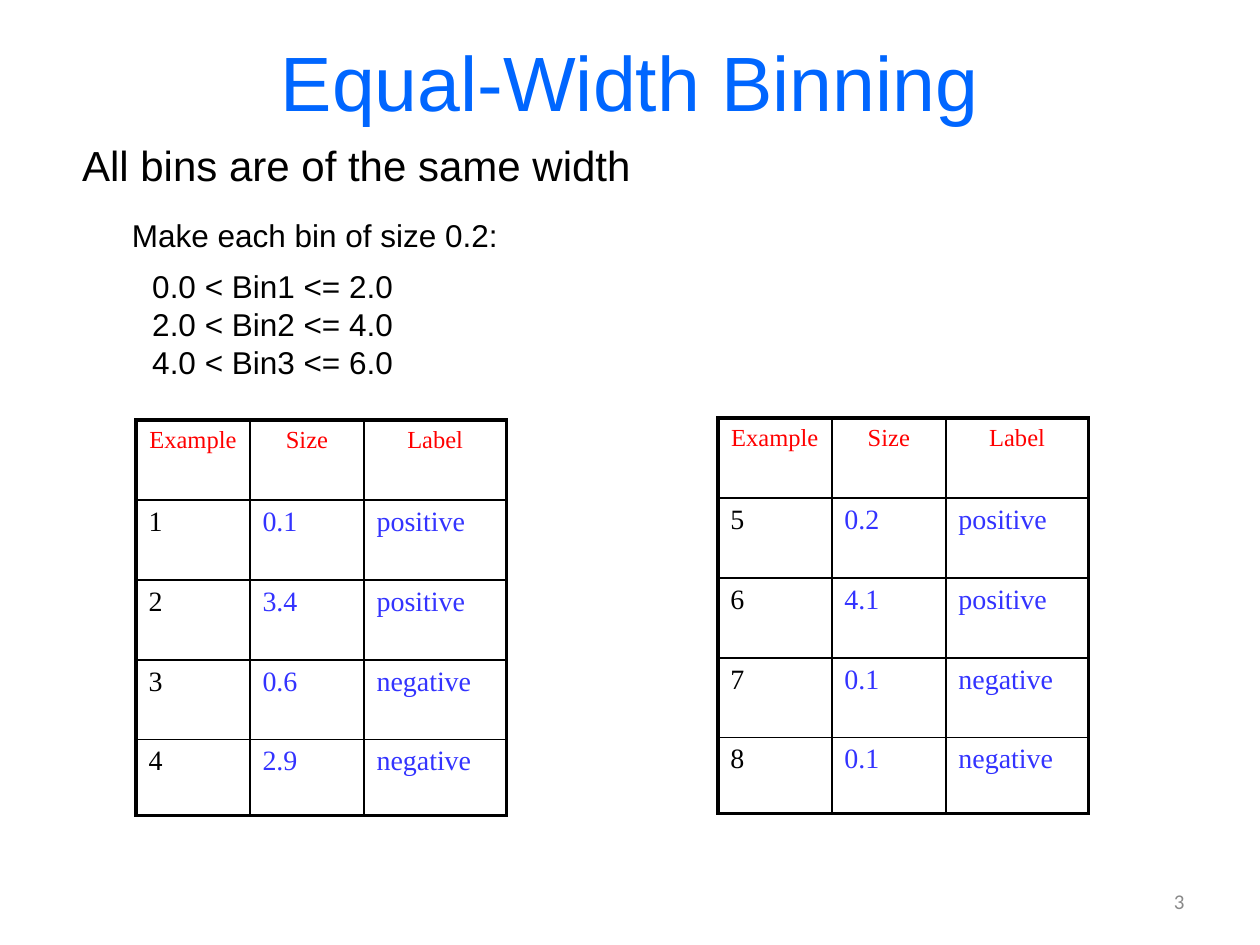
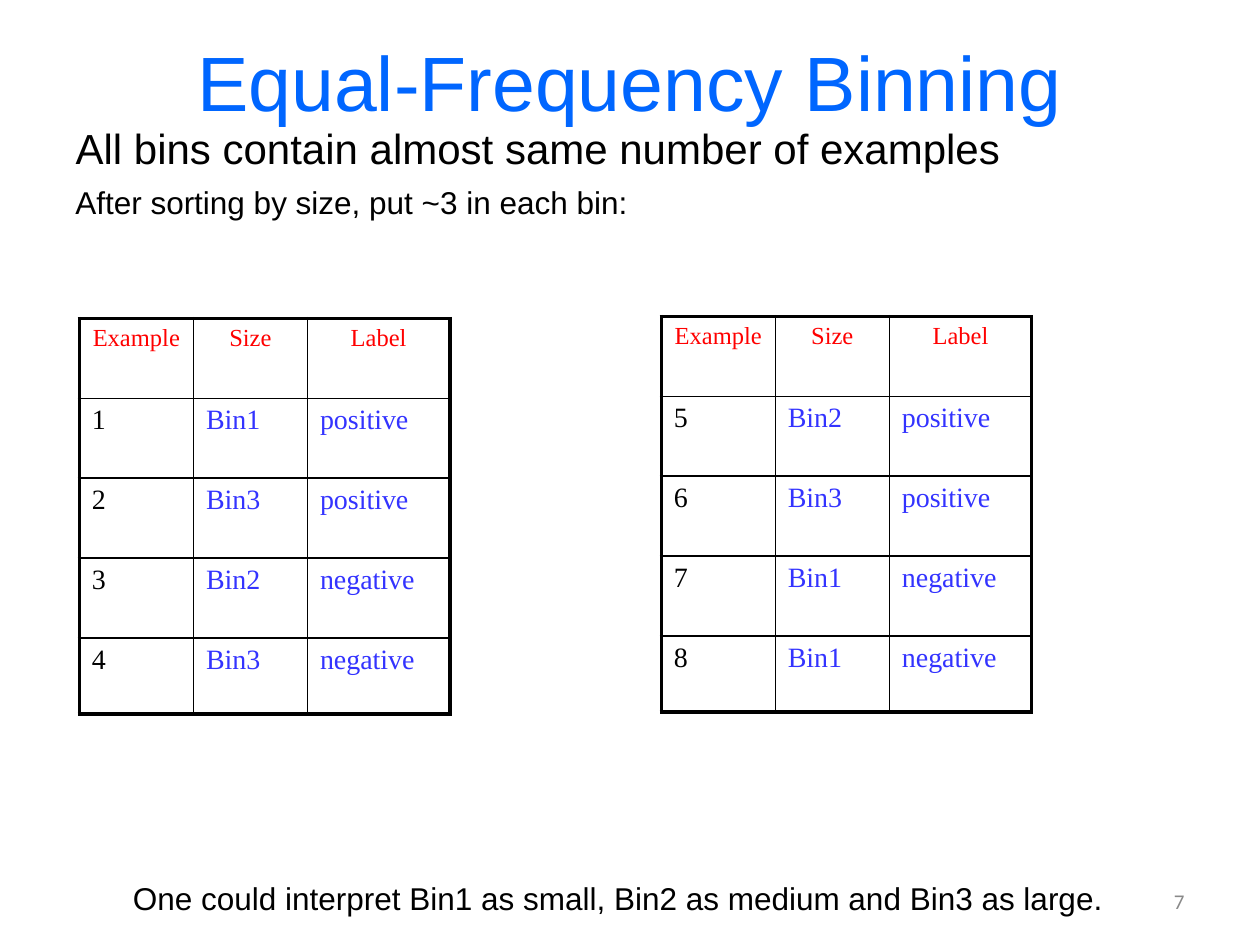
from lxml import etree
from pptx import Presentation
from pptx.dml.color import RGBColor
from pptx.enum.text import MSO_ANCHOR, MSO_AUTO_SIZE, PP_ALIGN
from pptx.oxml.ns import qn
from pptx.util import Cm, Pt

LEFT, CENTER, RIGHT = PP_ALIGN.LEFT, PP_ALIGN.CENTER, PP_ALIGN.RIGHT
MIDDLE = MSO_ANCHOR.MIDDLE
NO_FIT = MSO_AUTO_SIZE.NONE

BLACK, TITLE_BLUE, VALUE_BLUE = "000000", "0066FF", "3333FF"
HEADER_RED, NUMBER_GREY = "FF0000", "898989"
SANS, SERIF, NUMBER_FONT = "Arial", "Times New Roman", "Calibri"

HEADERS = ["Example", "Size", "Label"]
LABELS = ["positive", "positive", "negative", "negative"]
COLUMN_WIDTHS = [2.3, 2.3, 2.87]
ROW_HEIGHTS = [1.61, 1.61, 1.61, 1.61, 1.53]
TABLE_STEP, TABLE_RISE = 11.73, 0.04
THICK, THIN = 2.25, 1

SLIDES = [
    {
        "title": "Equal-Width Binning",
        "number": "3",
        "lead": "All bins are of the same width",
        "lead_at": (1.4, 2.69, 14.69, 1.28),
        "notes": [
            ((2.41, 4.24, 7.95, 1.02), ["Make each bin of size 0.2:"]),
            ((2.82, 5.26, 5.59, 2.57),
             ["0.0 < Bin1 <= 2.0", "2.0 < Bin2 <= 4.0", "4.0 < Bin3 <= 6.0"]),
        ],
        "tables_at": (2.74, 8.47),
        "sizes": [["0.1", "3.4", "0.6", "2.9"], ["0.2", "4.1", "0.1", "0.1"]],
    },
    {
        "title": "Equal-Frequency Binning",
        "number": "7",
        "lead": "All bins contain almost same number of examples",
        "lead_at": (1.27, 2.34, 19.25, 1.28),
        "notes": [
            ((1.27, 3.56, 11.76, 1.02), ["After sorting by size, put ~3 in each bin:"]),
            ((2.43, 17.6, 20.07, 1.02),
             ["One could interpret Bin1 as small, Bin2 as medium and Bin3 as large."]),
        ],
        "tables_at": (1.6, 6.42),
        "sizes": [["Bin1", "Bin3", "Bin2", "Bin3"], ["Bin2", "Bin3", "Bin1", "Bin1"]],
    },
]


def write(frame, lines, size, color=BLACK, font=SANS, align=LEFT):
    for index, line in enumerate(lines):
        para = frame.add_paragraph() if index else frame.paragraphs[0]
        para.alignment = align
        para.space_before = Pt(0)
        span = para.add_run()
        span.text = line
        span.font.size = Pt(size)
        span.font.name = font
        span.font.color.rgb = RGBColor.from_string(color)


def place(shape, spot):
    shape.left, shape.top, shape.width, shape.height = [Cm(length) for length in spot]


deck = Presentation()
deck.slide_width, deck.slide_height = Cm(25.4), Cm(19.05)

for content in SLIDES:
    page = deck.slides.add_slide(deck.slide_layouts[1])

    title = page.shapes.title
    place(title, (1.27, 0.03, 22.86, 3.18))
    write(title.text_frame, [content["title"]], 44, TITLE_BLUE, align=CENTER)

    lead = page.placeholders[1]
    place(lead, content["lead_at"])
    lead.text_frame.auto_size = NO_FIT
    lead_format = lead.text_frame.paragraphs[0]._p.get_or_add_pPr()
    lead_format.set("marL", "0")
    lead_format.set("indent", "0")
    etree.SubElement(lead_format, qn("a:buNone"))
    write(lead.text_frame, [content["lead"]], 24)

    for spot, lines in content["notes"]:
        box = page.shapes.add_textbox(*[Cm(length) for length in spot])
        box.text_frame.word_wrap = False
        write(box.text_frame, lines, 18)

    number = page.shapes.add_textbox(Cm(18.2), Cm(17.66), Cm(5.93), Cm(1.01))
    number.text_frame.word_wrap = True
    number.text_frame.vertical_anchor = MIDDLE
    write(number.text_frame, [content["number"]], 12, NUMBER_GREY, NUMBER_FONT, RIGHT)

    left, top = content["tables_at"]
    for side, sizes in enumerate(content["sizes"]):
        first_example = 1 + side * len(sizes)
        rows = [HEADERS]
        for offset, (size, label) in enumerate(zip(sizes, LABELS)):
            rows.append([str(first_example + offset), size, label])

        table = page.shapes.add_table(
            len(rows), len(HEADERS),
            Cm(left + side * TABLE_STEP), Cm(top - side * TABLE_RISE),
            Cm(sum(COLUMN_WIDTHS)), Cm(sum(ROW_HEIGHTS))).table
        table.first_row = table.horz_banding = False
        for column, width in zip(table.columns, COLUMN_WIDTHS):
            column.width = Cm(width)
        for row, height in zip(table.rows, ROW_HEIGHTS):
            row.height = Cm(height)

        for r, values in enumerate(rows):
            for c, value in enumerate(values):
                cell = table.cell(r, c)
                cell.fill.background()
                if r == 0:
                    write(cell.text_frame, [value], 14, HEADER_RED, SERIF, CENTER)
                else:
                    write(cell.text_frame, [value], 16, VALUE_BLUE if c else BLACK, SERIF)

                outer_edges = [
                    ("a:lnL", c == 0),
                    ("a:lnR", c == len(HEADERS) - 1),
                    ("a:lnT", r == 0),
                    ("a:lnB", r == len(rows) - 1),
                ]
                cell_format = cell._tc.get_or_add_tcPr()
                for position, (edge, is_outer) in enumerate(outer_edges):
                    border = etree.Element(qn(edge), w=str(Pt(THICK if is_outer else THIN)))
                    paint = etree.SubElement(border, qn("a:solidFill"))
                    etree.SubElement(paint, qn("a:srgbClr"), val=BLACK)
                    cell_format.insert(position, border)

deck.save("out.pptx")
